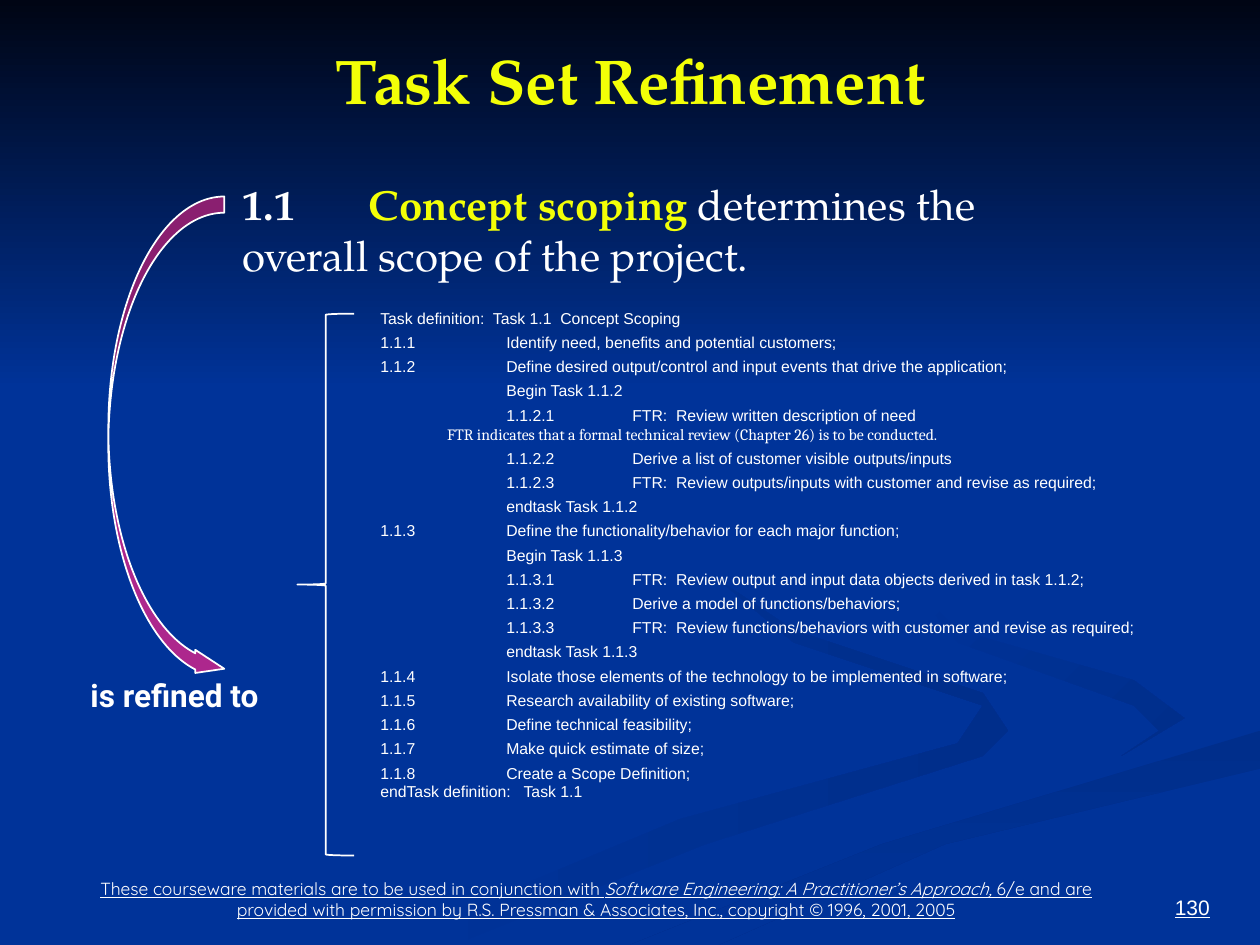
from pptx import Presentation
from pptx.dml.color import RGBColor
from pptx.enum.shapes import MSO_SHAPE
from pptx.enum.text import MSO_ANCHOR, PP_ALIGN
from pptx.oxml.ns import qn
from pptx.util import Inches, Pt
from lxml import etree

ARROW, BRACE = MSO_SHAPE.CURVED_RIGHT_ARROW, MSO_SHAPE.LEFT_BRACE
RECTANGLE = MSO_SHAPE.RECTANGLE
TOP, BOTTOM = MSO_ANCHOR.TOP, MSO_ANCHOR.BOTTOM
LEFT, CENTER, RIGHT = PP_ALIGN.LEFT, PP_ALIGN.CENTER, PP_ALIGN.RIGHT

BLUE, DEEP_BLUE, NIGHT = "003399", "002E8B", "000514"
WHITE, YELLOW, MAGENTA = "FFFFFF", "F3FF07", "AD278D"
SERIF, SANS = "TeX Gyre Pagella", "Arial"

SWIRLS = [
    (BLUE, DEEP_BLUE, 0, [
        (7.8, 5.5), (6.3, 5), (5.7, 4.6), (6.3, 5.1), (7.8, 5.6), (7.6, 5.9),
        (5.4, 6.5), (3, 7.5), (3.6, 7.5), (5.6, 6.7), (7.8, 6), (8, 5.8)]),
    (BLUE, DEEP_BLUE, 45, [
        (9.4, 5.7), (9, 5.4), (7.6, 5), (7.2, 4.6), (7.6, 5.1), (9, 5.6),
        (9.2, 5.8), (8.9, 6)]),
    (DEEP_BLUE, BLUE, 90, [
        (5, 7.5), (5.7, 7.5), (7.5, 6.7), (10, 6.1), (10, 5.8), (7, 6.7)]),
]

REVIEW_NOTE = "FTR indicates that a formal technical review (Chapter 26) is to be conducted."
TASK_END = "endTask definition:   Task 1.1"
TASK_LINES = [
    "Task definition:  Task 1.1  Concept Scoping",
    "1.1.1\tIdentify need, benefits and potential customers;",
    "1.1.2\tDefine desired output/control and input events that drive the application;",
    "\tBegin Task 1.1.2",
    "\t1.1.2.1\tFTR:  Review written description of need",
    REVIEW_NOTE,
    "\t1.1.2.2\tDerive a list of customer visible outputs/inputs",
    "\t1.1.2.3\tFTR:  Review outputs/inputs with customer and revise as required;",
    "\tendtask Task 1.1.2",
    "1.1.3\tDefine the functionality/behavior for each major function;",
    "\tBegin Task 1.1.3",
    "\t1.1.3.1\tFTR:  Review output and input data objects derived in task 1.1.2;",
    "\t1.1.3.2\tDerive a model of functions/behaviors;",
    "\t1.1.3.3\tFTR:  Review functions/behaviors with customer and revise as required;",
    "\tendtask Task 1.1.3",
    "1.1.4\tIsolate those elements of the technology to be implemented in software;",
    "1.1.5\tResearch availability of existing software;",
    "1.1.6\tDefine technical feasibility;",
    "1.1.7\tMake quick estimate of size;",
    "1.1.8\tCreate a Scope Definition;",
    TASK_END,
]


def rgb(code):
    return RGBColor.from_string(code)


class SlideWriter:
    """Draws styled elements on the current slide."""

    def __init__(self, slide):
        self.slide = slide
        slide.background.fill.solid()
        slide.background.fill.fore_color.rgb = rgb(BLUE)

    def shade(self, shape, start, end, angle):
        shape.shadow.inherit = False
        shape.line.fill.background()
        shape.fill.gradient()
        shape.fill.gradient_angle = (360 - angle) % 360
        for stop, color in zip(shape.fill.gradient_stops, (start, end)):
            stop.color.rgb = rgb(color)

    def band(self, box, start, end):
        band = self.slide.shapes.add_shape(RECTANGLE, *map(Inches, box))
        self.shade(band, start, end, 90)

    def swirl(self, start, end, angle, points):
        corners = [(Inches(x), Inches(y)) for x, y in points]
        builder = self.slide.shapes.build_freeform(*corners[0])
        builder.add_line_segments(corners[1:], close=True)
        self.shade(builder.convert_to_shape(), start, end, angle)

    def outline(self, preset, box, adjustments, fill=None):
        shape = self.slide.shapes.add_shape(preset, *map(Inches, box))
        shape.shadow.inherit = False
        for index, value in enumerate(adjustments):
            shape.adjustments[index] = value
        if fill:
            shape.fill.solid()
            shape.fill.fore_color.rgb = rgb(fill)
        else:
            shape.fill.background()
        shape.line.color.rgb = rgb(WHITE)
        shape.line.width = Pt(1)

    def text(self, box, paragraphs, size, font, align=LEFT, anchor=TOP, insets=(0.1, 0.05)):
        frame = self.slide.shapes.add_textbox(*map(Inches, box)).text_frame
        frame.word_wrap = True
        frame.vertical_anchor = anchor
        frame.margin_left = frame.margin_right = Inches(insets[0])
        frame.margin_top = frame.margin_bottom = Inches(insets[1])
        for index, runs in enumerate(paragraphs):
            paragraph = frame.add_paragraph() if index else frame.paragraphs[0]
            paragraph.alignment = align
            if any("\t" in words for words, _ in runs):
                self.tabs(paragraph)
            for words, style in runs:
                run = paragraph.add_run()
                run.text = words
                run.font.size = Pt(size)
                run.font.name = style.get("font", font)
                run.font.color.rgb = rgb(style.get("color", WHITE))
                run.font.bold = style.get("bold", False)
                run.font.italic = style.get("italic", False)
                run.font.underline = style.get("underline", False)
        return frame

    def tabs(self, paragraph):
        stops = etree.SubElement(paragraph._p.get_or_add_pPr(), qn("a:tabLst"))
        for inch in (1, 2):
            etree.SubElement(stops, qn("a:tab"), pos=str(Inches(inch)), algn="l")

    def task_list(self, box, lines):
        styles = {REVIEW_NOTE: {"font": "Cambria"}}
        frame = self.text(box, [[(line, styles.get(line, {}))] for line in lines], 9, SANS)
        for line, paragraph in zip(lines[1:], frame.paragraphs[1:]):
            if line == REVIEW_NOTE:
                paragraph._p.get_or_add_pPr().set("marL", str(Inches(0.53)))
            elif line != TASK_END:
                paragraph.space_before = Pt(3)


def main():
    deck = Presentation()
    deck.slide_width, deck.slide_height = Inches(10), Inches(7.5)
    writer = SlideWriter(deck.slides.add_slide(deck.slide_layouts[6]))
    writer.band((0, 0, 10, 3.09), NIGHT, BLUE)
    for swirl in SWIRLS:
        writer.swirl(*swirl)

    under = {"underline": True}
    writer.text((0.52, 6.83, 8.42, 0.52), [[
        ("These courseware materials are to be used in conjunction with ", under),
        ("Software Engineering: A Practitioner’s Approach,", {**under, "italic": True}),
        (" 6/e and are provided with permission by R.S. Pressman & Associates, Inc., "
         "copyright © 1996, 2001, 2005", under)]], 10, "Quicksand", CENTER, BOTTOM)
    writer.text((9.01, 6.83, 0.69, 0.52), [[("130", under)]], 12, SANS, RIGHT, BOTTOM)

    heading = {"bold": True, "color": YELLOW}
    writer.text((2.45, 0.3, 5.11, 0.66), [[("Task Set Refinement", heading)]],
                36, SERIF, CENTER, insets=(0.07, 0.03))
    writer.text((1.83, 1.37, 6.26, 0.91), [[
        ("1.1\t", {"bold": True}), ("Concept scoping", heading),
        (" determines the overall scope of the project.", {})]], 24, SERIF)
    writer.task_list((2.92, 2.4, 6.31, 4.04), TASK_LINES)
    writer.outline(ARROW, (0.86, 1.56, 0.92, 3.84), (0.14, 0.2, 0.25), MAGENTA)
    refined = writer.text((0.62, 5.35, 1.93, 0.37),
                          [[("is refined to", {"bold": True})]], 18, "Roboto")
    refined.paragraphs[0].line_spacing = 0.9
    writer.outline(BRACE, (2.36, 2.49, 0.45, 4.3), (0.02, 0.5))
    deck.save("out.pptx")


if __name__ == "__main__":
    main()
